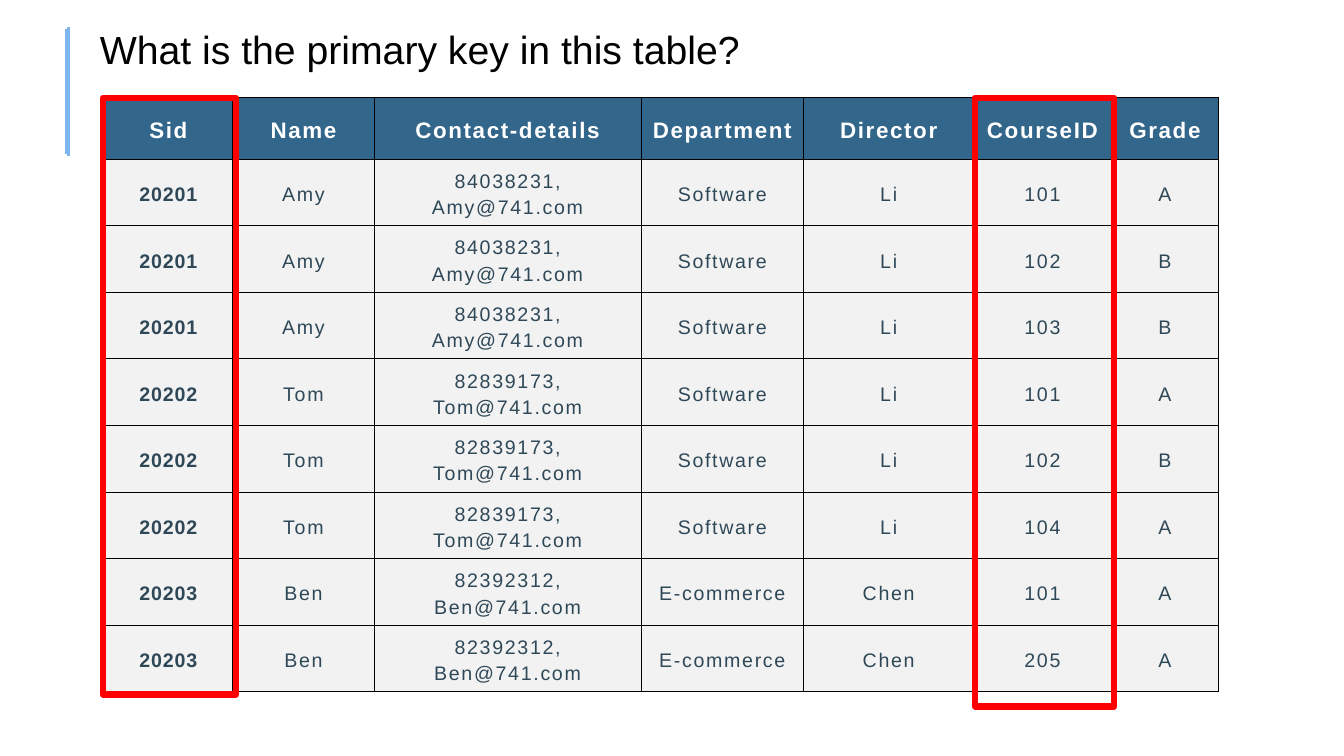
from lxml import etree
from pptx import Presentation
from pptx import util as u
from pptx.dml.color import RGBColor
from pptx.enum import shapes, text
from pptx.oxml import parse_xml
from pptx.oxml.ns import nsdecls, qn

COLORS = {
    "accent": "7DB6EF", "header": "32668B", "cell": "F2F2F2", "ink": "2F4858",
    "white": "FFFFFF", "black": "000000", "highlight": "FF0000",
}
COLUMN_WIDTHS = [1.28, 1.4, 2.65, 1.61, 1.69, 1.36, 1.07]
HEADER_HEIGHT, ROW_HEIGHT = 0.61, 0.56
HEADINGS = ["Sid", "Name", "Contact-details", "Department", "Director", "CourseID", "Grade"]

# Student id: name, phone, department, director, (course, grade) pairs
STUDENTS = {
    "20201": ("Amy", "84038231", "Software", "Li", [("101", "A"), ("102", "B"), ("103", "B")]),
    "20202": ("Tom", "82839173", "Software", "Li", [("101", "A"), ("102", "B"), ("104", "A")]),
    "20203": ("Ben", "82392312", "E-commerce", "Chen", [("101", "A"), ("205", "A")]),
}


def color(name):
    return RGBColor.from_string(COLORS[name])


class SlideBuilder:
    def __init__(self, page, font="Arial"):
        self.page = page
        self.font = font

    def add_span(self, para, words, size, ink, bold=False, spacing=0):
        span = para.add_run()
        span.text = words
        span.font.name = self.font
        span.font.size = u.Pt(size)
        span.font.bold = bold
        span.font.color.rgb = color(ink)
        if spacing:
            span._r.get_or_add_rPr().set("spc", str(round(spacing * 100)))

    def title(self, words, left, top, width, height):
        box = self.page.shapes.title
        box.left, box.top = u.Inches(left), u.Inches(top)
        box.width, box.height = u.Inches(width), u.Inches(height)
        frame = box.text_frame
        frame.word_wrap = True
        frame.auto_size = text.MSO_AUTO_SIZE.SHAPE_TO_FIT_TEXT
        frame.vertical_anchor = text.MSO_ANCHOR.TOP
        para = frame.paragraphs[0]
        para.alignment = text.PP_ALIGN.LEFT
        self.add_span(para, words, 28, "black")

    def vertical_line(self, x, top, bottom):
        line = self.page.shapes.add_connector(
            shapes.MSO_CONNECTOR.STRAIGHT,
            u.Inches(x), u.Inches(top), u.Inches(x), u.Inches(bottom))
        line.line.color.rgb = color("accent")
        line.line.width = u.Pt(2.5)
        etree.SubElement(line._element.spPr, qn("a:effectLst"))

    def outline(self, left, top, width, height):
        box = self.page.shapes.add_shape(
            shapes.MSO_SHAPE.RECTANGLE,
            u.Inches(left), u.Inches(top), u.Inches(width), u.Inches(height))
        box.shadow.inherit = False
        box.fill.background()
        box.line.color.rgb = color("highlight")
        box.line.width = u.Pt(4.5)

    def cell(self, cell, words, fill, **style):
        properties = cell._tc.get_or_add_tcPr()
        for side in ("lnL", "lnR", "lnT", "lnB"):
            properties.append(parse_xml(
                f'<a:{side} {nsdecls("a")} w="{u.Pt(0.75)}"><a:solidFill>'
                f'<a:srgbClr val="{COLORS["black"]}"/></a:solidFill></a:{side}>'))
        cell.fill.solid()
        cell.fill.fore_color.rgb = color(fill)
        cell.vertical_anchor = text.MSO_ANCHOR.MIDDLE
        frame = cell.text_frame
        for index, line in enumerate(words.split("\n")):
            para = frame.add_paragraph() if index else frame.paragraphs[0]
            para.alignment = text.PP_ALIGN.CENTER
            para.line_spacing = 1.2
            self.add_span(para, line, **style)

    def table(self, headings, records, left, top):
        height = HEADER_HEIGHT + ROW_HEIGHT * len(records)
        table = self.page.shapes.add_table(
            len(records) + 1, len(headings), u.Inches(left), u.Inches(top),
            u.Inches(sum(COLUMN_WIDTHS)), u.Inches(height)).table
        table.horz_banding = False
        for column, width in zip(table.columns, COLUMN_WIDTHS):
            column.width = u.Inches(width)
        for r, record in enumerate([headings] + records):
            table.rows[r].height = u.Inches(ROW_HEIGHT if r else HEADER_HEIGHT)
            for c, words in enumerate(record):
                if r == 0:
                    self.cell(table.cell(r, c), words, "header",
                              size=16, ink="white", bold=True, spacing=1.2)
                else:
                    self.cell(table.cell(r, c), words, "cell", size=14, ink="ink",
                              bold=c == 0, spacing=1.2 if c else 0.6)


def main():
    deck = Presentation()
    deck.slide_width, deck.slide_height = u.Inches(13.33), u.Inches(7.5)
    builder = SlideBuilder(deck.slides.add_slide(deck.slide_layouts[5]))

    # Accent bar and title
    builder.vertical_line(0.66, 0.29, 1.53)
    builder.vertical_line(0.68, 0.27, 1.55)
    builder.title("What is the primary key in this table?", 0.89, 0.2, 8.78, 0.57)

    # One record for each course a student takes
    records = [
        [sid, name, f"{phone},\n{name}@741.com", department, director, course, grade]
        for sid, (name, phone, department, director, courses) in STUDENTS.items()
        for course, grade in courses
    ]
    builder.table(HEADINGS, records, 1.03, 0.97)

    # Frames around the two key columns
    builder.outline(1.02, 0.97, 1.32, 5.92)
    builder.outline(9.67, 0.97, 1.38, 6.04)

    deck.save("out.pptx")


if __name__ == "__main__":
    main()
